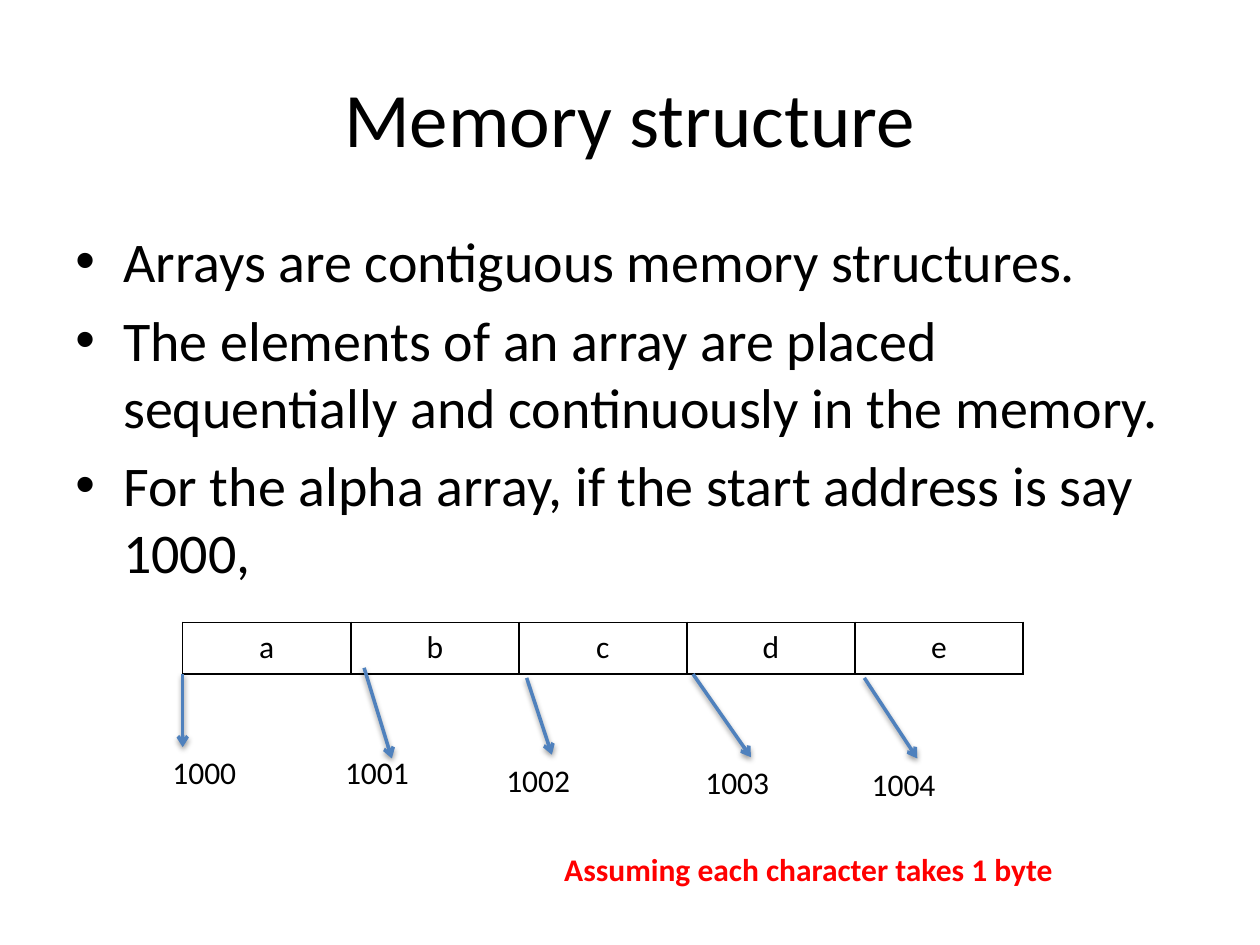
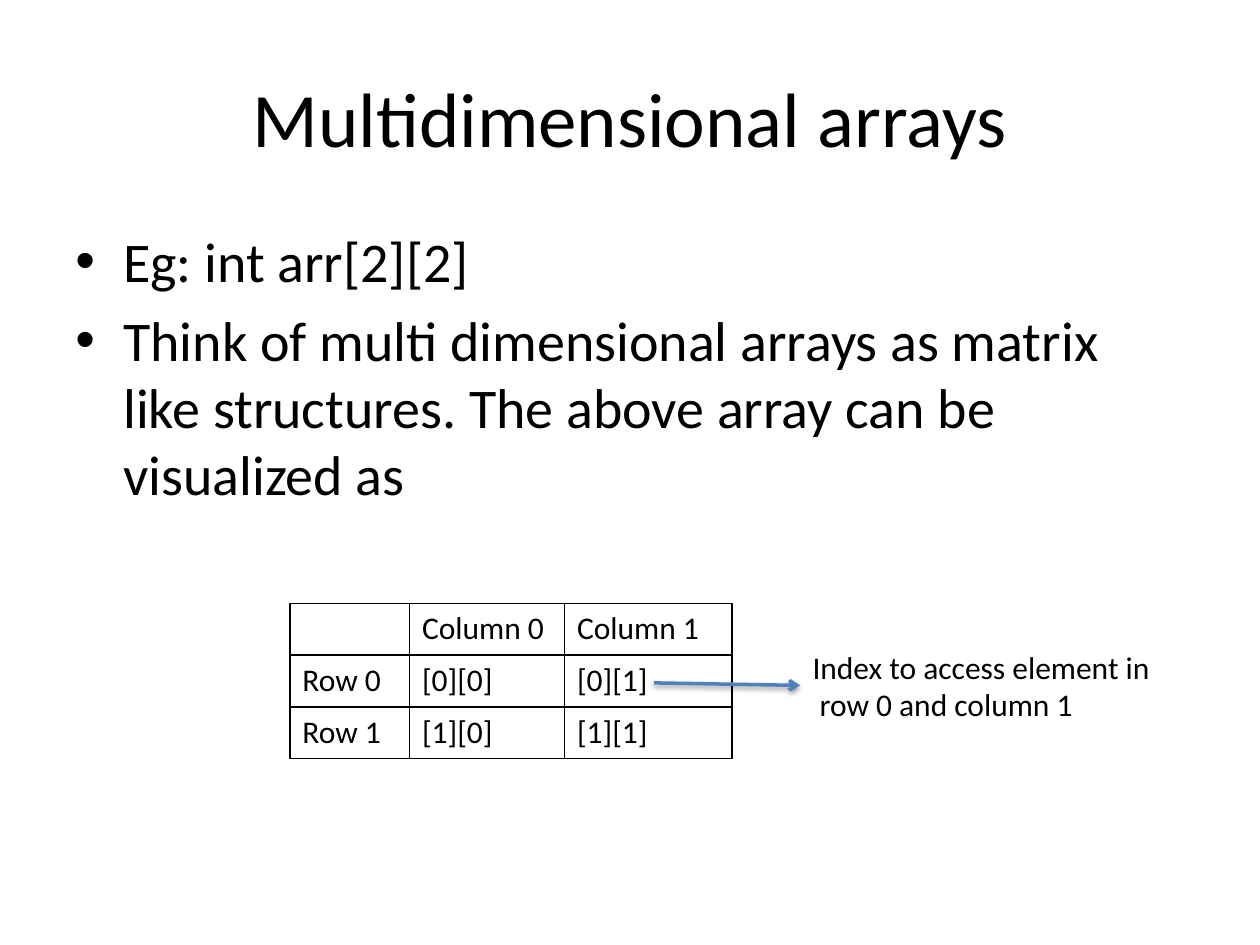
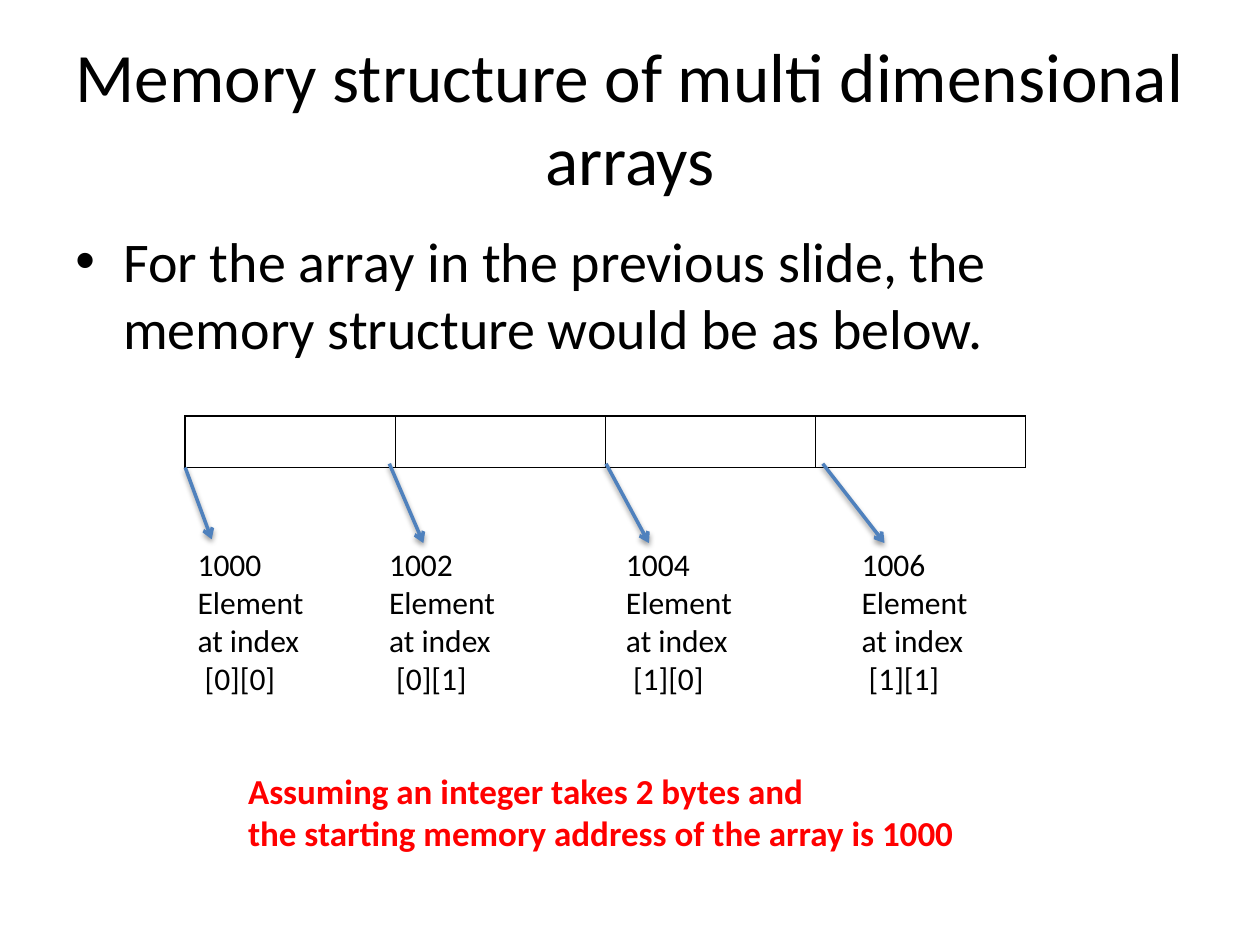
from lxml import etree
from pptx import Presentation
from pptx import util as u
from pptx.dml.color import RGBColor
from pptx.enum import shapes, text
from pptx.oxml import parse_xml
from pptx.oxml.ns import nsdecls, qn

COLORS = {"ink": "000000", "arrow": "4F81BD", "note": "FF0000"}
FONT = "Calibri"
ROW_H = 0.41
LABEL_W, LABEL_H = 0.93, 0.4
INDEX_W, INDEX_H = 1.06, 1.31

# Tables: left, top, column widths, rows, centred.
# Labels: left, top, width, height, lines. Arrows: from x, y, to x, y.
# Notes: left, top, width, height, lines, size.
SLIDES = [
    {
        "title": ("Memory structure", 44),
        "bullets": [
            "Arrays are contiguous memory structures.",
            "The elements of an array are placed sequentially and "
            "continuously in the memory.",
            "For the alpha array, if the start address is say 1000,",
        ],
        "table": (1.45, 4.94, [6.67 / 5] * 5, [list("abcde")], True),
        "labels": [
            (x, y, LABEL_W, LABEL_H, [str(1000 + i)])
            for i, (x, y) in enumerate([(1.27, 5.93), (2.64, 5.93), (3.92, 5.99),
                                        (5.5, 6.01), (6.82, 6.02)])
        ],
        "arrows": [
            (1.45, 5.35, 1.45, 5.93),
            (2.89, 5.3, 3.11, 6.02),
            (4.18, 5.38, 4.38, 5.99),
            (5.5, 5.35, 5.96, 6.01),
            (6.86, 5.38, 7.28, 6.02),
        ],
        "note": (4.38, 6.7, 4.14, 0.4,
                 ["Assuming each character takes 1 byte"], 18),
    },
    {
        "title": ("Multidimensional arrays", 44),
        "bullets": [
            "Eg: int arr[2][2]",
            "Think of multi dimensional arrays as matrix like structures. "
            "The above array can be visualized as",
        ],
        "table": (2.3, 4.79, [0.95, 1.23, 1.33],
                  [["", "Column 0", "Column 1"],
                   ["Row 0", "[0][0]", "[0][1]"],
                   ["Row 1", "[1][0]", "[1][1]"]], False),
        "labels": [(6.35, 5.09, 2.91, 0.71,
                    ["Index to access element in", " row 0 and column 1"])],
        "arrows": [(5.19, 5.42, 6.35, 5.44)],
    },
    {
        "title": ("Memory structure of multi dimensional arrays", 39.6),
        "bullets": ["For the array in the previous slide, the memory "
                    "structure would be as below."],
        "table": (1.47, 3.3, [6.67 / 4] * 4, [[""] * 4], False),
        "labels": [
            (x, 4.28, INDEX_W, INDEX_H,
             [str(1000 + 2 * i), "Element ", "at index", f" [{i // 2}][{i % 2}]"])
            for i, x in enumerate([1.47, 2.99, 4.87, 6.74])
        ],
        "arrows": [
            (1.47, 3.71, 1.68, 4.28),
            (3.09, 3.68, 3.36, 4.31),
            (4.81, 3.68, 5.15, 4.31),
            (6.53, 3.68, 7.02, 4.31),
        ],
        "note": (1.87, 6.06, 5.88, 0.77,
                 ["Assuming an integer takes 2 bytes and ",
                  "the starting memory address of the array is 1000"], 20),
    },
]


def add_run(p, words, size=18, color="ink", bold=False):
    """Add one styled run to a paragraph."""
    r = p.add_run()
    r.text = words
    r.font.name, r.font.size, r.font.bold = FONT, u.Pt(size), bold
    r.font.color.rgb = RGBColor.from_string(COLORS[color])


def add_text(s, box, lines, wrap=True, **style):
    """Add a text box with one paragraph a line and return its frame."""
    tf = s.shapes.add_textbox(*map(u.Inches, box)).text_frame
    tf.word_wrap = wrap
    for i, line in enumerate(lines):
        p = tf.add_paragraph() if i else tf.paragraphs[0]
        add_run(p, line, **style)
    return tf


def add_title(s, words, size):
    """Add the centred slide title."""
    tf = add_text(s, (0.5, 0.3, 9, 1.25), [words], size=size)
    tf.vertical_anchor = text.MSO_ANCHOR.MIDDLE
    tf.paragraphs[0].alignment = text.PP_ALIGN.CENTER


def add_bullets(s, lines):
    """Add the bulleted body text."""
    tf = add_text(s, (0.5, 1.75, 9, 4.95), lines, size=32)
    for p in tf.paragraphs:
        p.space_before = u.Pt(6.4)
        pPr = p._p.get_or_add_pPr()
        pPr.set("marL", str(u.Inches(0.38)))
        pPr.set("indent", str(u.Inches(-0.38)))
        etree.SubElement(pPr, qn("a:buFont")).set("typeface", "Arial")
        etree.SubElement(pPr, qn("a:buChar")).set("char", "•")


def add_borders(cell):
    """Draw a thin line on all four sides of a cell."""
    tcPr = cell._tc.get_or_add_tcPr()
    for i, side in enumerate(("lnL", "lnR", "lnT", "lnB")):
        tcPr.insert(i, parse_xml(
            f'<a:{side} {nsdecls("a")} w="12700"><a:solidFill>'
            f'<a:srgbClr val="{COLORS["ink"]}"/></a:solidFill></a:{side}>'))


def add_grid(s, left, top, widths, rows, centred):
    """Add an unfilled table with ruled cells."""
    box = (left, top, sum(widths), ROW_H * len(rows))
    table = s.shapes.add_table(len(rows), len(widths), *map(u.Inches, box)).table
    table.first_row = table.horz_banding = False
    for column, width in zip(table.columns, widths):
        column.width = u.Inches(width)
    for i, row in enumerate(rows):
        table.rows[i].height = u.Inches(ROW_H)
        for j, words in enumerate(row):
            cell = table.cell(i, j)
            cell.fill.background()
            add_borders(cell)
            p = cell.text_frame.paragraphs[0]
            if centred:
                p.alignment = text.PP_ALIGN.CENTER
            if words:
                add_run(p, words)


def add_arrow(s, *ends):
    """Add a straight arrow with a soft shadow below it."""
    c = s.shapes.add_connector(shapes.MSO_CONNECTOR.STRAIGHT, *map(u.Inches, ends))
    c.line.width = u.Pt(2)
    c.line.color.rgb = RGBColor.from_string(COLORS["arrow"])
    etree.SubElement(c.line._get_or_add_ln(), qn("a:tailEnd")).set("type", "arrow")
    c._element.spPr.append(parse_xml(
        f'<a:effectLst {nsdecls("a")}><a:outerShdw blurRad="{u.Pt(3.1)}" '
        f'dist="{u.Pt(1.6)}" dir="5400000" rotWithShape="0">'
        f'<a:srgbClr val="{COLORS["ink"]}"><a:alpha val="38000"/></a:srgbClr>'
        '</a:outerShdw></a:effectLst>'))


prs = Presentation()
prs.slide_width, prs.slide_height = u.Inches(10), u.Inches(7.5)
for content in SLIDES:
    s = prs.slides.add_slide(prs.slide_layouts[6])
    add_title(s, *content["title"])
    add_bullets(s, content["bullets"])
    add_grid(s, *content["table"])
    for *box, lines in content["labels"]:
        add_text(s, box, lines, wrap=len(lines) == 1)
    for ends in content["arrows"]:
        add_arrow(s, *ends)
    if "note" in content:
        *box, lines, size = content["note"]
        add_text(s, box, lines, wrap=False, size=size, color="note", bold=True)
prs.save("out.pptx")
